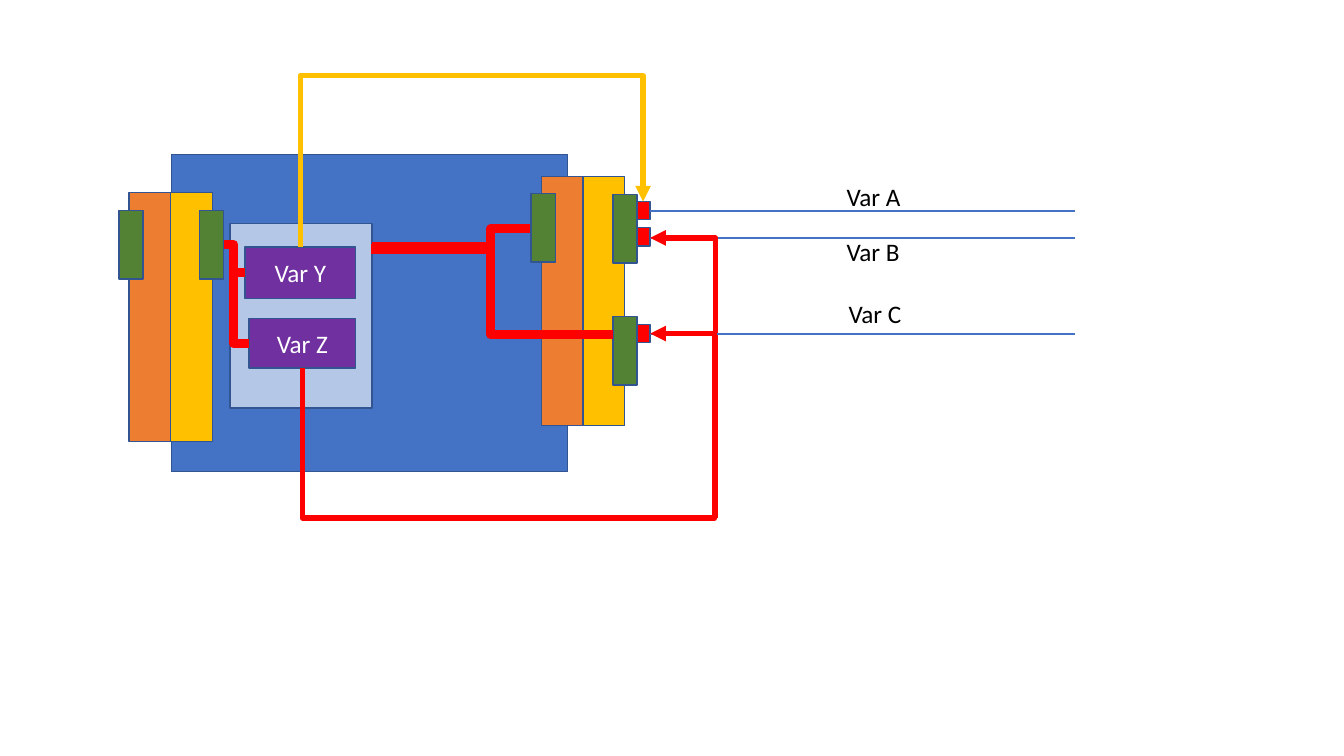
from dataclasses import dataclass
from lxml.etree import SubElement
from pptx import Presentation
from pptx.dml.color import RGBColor
from pptx.enum.shapes import MSO_CONNECTOR as Link, MSO_SHAPE as Preset
from pptx.enum.text import MSO_ANCHOR as Anchor, MSO_AUTO_SIZE as AutoSize, PP_ALIGN as Align
from pptx.oxml.ns import qn
from pptx.util import Inches, Pt

CELL = Inches(0.1)  # side of one grid square
COLUMNS, ROWS = 133.33, 75


@dataclass(frozen=True)
class Theme:
    font: str = "Calibri"
    text_size: float = 18
    text: str = "000000"
    inverse: str = "FFFFFF"
    board: str = "4472C4"
    outline: str = "325491"
    orange: str = "ED7D31"
    yellow: str = "FFC000"
    port: str = "548235"
    signal: str = "FF0000"
    memory: str = "B4C7E7"
    variable: str = "7030A0"
    border: float = 1
    wire: float = 1.5
    mapping: float = 3.75
    bus: float = 6.5


THEME = Theme()
PORT_SIZE = (2.4, 6.8)
PIN_SIZE = (1.3, 1.8)
STRIP_SIZE = (4.13, 24.7)


def grid(*cells):
    return [round(cell * CELL) for cell in cells]


def style_text(frame, text, color):
    frame.text = text
    font = frame.paragraphs[0].runs[0].font
    font.name, font.size = THEME.font, Pt(THEME.text_size)
    font.color.rgb = RGBColor.from_string(color)


def block(slide, left, top, size, fill, text=None):
    box = slide.shapes.add_shape(Preset.RECTANGLE, *grid(left, top, *size))
    box.shadow.inherit = False
    box.fill.solid()
    box.fill.fore_color.rgb = RGBColor.from_string(fill)
    box.line.color.rgb = RGBColor.from_string(THEME.outline)
    box.line.width = Pt(THEME.border)
    if text:
        style_text(box.text_frame, text, THEME.inverse)
        box.text_frame.vertical_anchor = Anchor.MIDDLE
        box.text_frame.paragraphs[0].alignment = Align.CENTER


def carrier(slide, left, top):
    for index, color in enumerate((THEME.orange, THEME.yellow)):
        block(slide, left + index * STRIP_SIZE[0], top, STRIP_SIZE, color)


def label(slide, left, top, text):
    box = slide.shapes.add_textbox(*grid(left, top, 7.4, 4))
    box.text_frame.word_wrap = False
    box.text_frame.auto_size = AutoSize.SHAPE_TO_FIT_TEXT
    style_text(box.text_frame, text, THEME.text)


def connect(slide, kind, start, end, color, width):
    link = slide.shapes.add_connector(kind, *grid(*start, *end))
    link.line.color.rgb = RGBColor.from_string(color)
    link.line.width = Pt(width)
    SubElement(link._element.spPr, qn("a:effectLst"))
    return link


def elbow(slide, start, end, bends, color, width, upright=False, arrow=False):
    """Bends are the coordinates where the route turns, by alternating axis."""
    (x1, y1), (x2, y2) = start, end
    dx, dy = x2 - x1, y2 - y1
    frame = start, end
    if upright:  # a quarter turn about the middle makes the first leg vertical
        cx, cy = (x1 + x2) / 2, (y1 + y2) / 2
        frame = (cx - dy / 2, cy + dx / 2), (cx + dy / 2, cy - dx / 2)
    link = connect(slide, Link.ELBOW, *frame, color, width)
    properties = link._element.spPr
    if upright:
        properties.find(qn("a:xfrm")).set("rot", str(90 * 60000))

    geometry = properties.find(qn("a:prstGeom"))
    geometry.set("prst", f"bentConnector{len(bends) + 2}")
    adjustments = geometry.find(qn("a:avLst"))
    if adjustments is None:
        adjustments = SubElement(geometry, qn("a:avLst"))
    for index, bend in enumerate(bends):
        axis = (index + upright) % 2
        share = (bend - start[axis]) / (end[axis] - start[axis])
        SubElement(adjustments, qn("a:gd"), name=f"adj{index + 1}",
                   fmla=f"val {round(share * 100000)}")
    if arrow:
        SubElement(properties.find(qn("a:ln")), qn("a:tailEnd"), type="triangle")


def terminal(slide, row, text, left, top):
    connect(slide, Link.STRAIGHT, (64.5, row), (106.6, row), THEME.board, THEME.wire)
    label(slide, left, top, text)


def main():
    deck = Presentation()
    deck.slide_width, deck.slide_height = grid(COLUMNS, ROWS)
    slide = deck.slides.add_slide(deck.slide_layouts[6])

    # Board and right carrier with its upper terminals
    block(slide, 17, 15.3, (39.3, 31.5), THEME.board)
    carrier(slide, 53.7, 17.5)
    block(slide, 60.8, 19.3, PORT_SIZE, THEME.port)
    for top in (20, 22.6):
        block(slide, 63.2, top, PIN_SIZE, THEME.signal)
    terminal(slide, 20.95, "Var A", 83, 17.5)
    terminal(slide, 23.6, "Var B", 83, 23)

    # Memory with its variables
    block(slide, 22.8, 22.2, (14.1, 18.3), THEME.memory)
    block(slide, 24.3, 24.5, (11, 5.1), THEME.variable, "Var Y")
    block(slide, 24.7, 31.6, (10.6, 4.9), THEME.variable, "Var Z")

    # Upper bus and mappings to the first two pins
    elbow(slide, (36.9, 24.5), (52.7, 22.7), [48.7], THEME.signal, THEME.bus)
    block(slide, 52.7, 19.2, PORT_SIZE, THEME.port)
    elbow(slide, (29.8, 24.5), (63.8, 20), [7.5], THEME.yellow, THEME.mapping,
          upright=True, arrow=True)
    elbow(slide, (71, 51.4), (64.5, 23.6), [], THEME.signal, THEME.mapping,
          upright=True, arrow=True)

    # Left carrier and its bus
    carrier(slide, 12.8, 19.1)
    for left in (19.8, 11.8):
        block(slide, left, 20.9, PORT_SIZE, THEME.port)
    elbow(slide, (22.2, 24.3), (24.3, 27), [23.2], THEME.signal, THEME.bus)
    elbow(slide, (24.3, 27), (24.7, 34.1), [23.2], THEME.signal, THEME.bus)

    # Lower terminal with its mapping and bus
    block(slide, 60.8, 31.4, PORT_SIZE, THEME.port)
    block(slide, 63.2, 32.2, PIN_SIZE, THEME.signal)
    terminal(slide, 33.1, "Var C", 83.2, 29.1)
    elbow(slide, (30, 36.5), (64.5, 33.1), [51.4, 70.9], THEME.signal, THEME.mapping,
          upright=True, arrow=True)
    elbow(slide, (36.8, 24.7), (60.8, 33.2), [48.7], THEME.signal, THEME.bus)

    deck.save("out.pptx")


if __name__ == "__main__":
    main()
